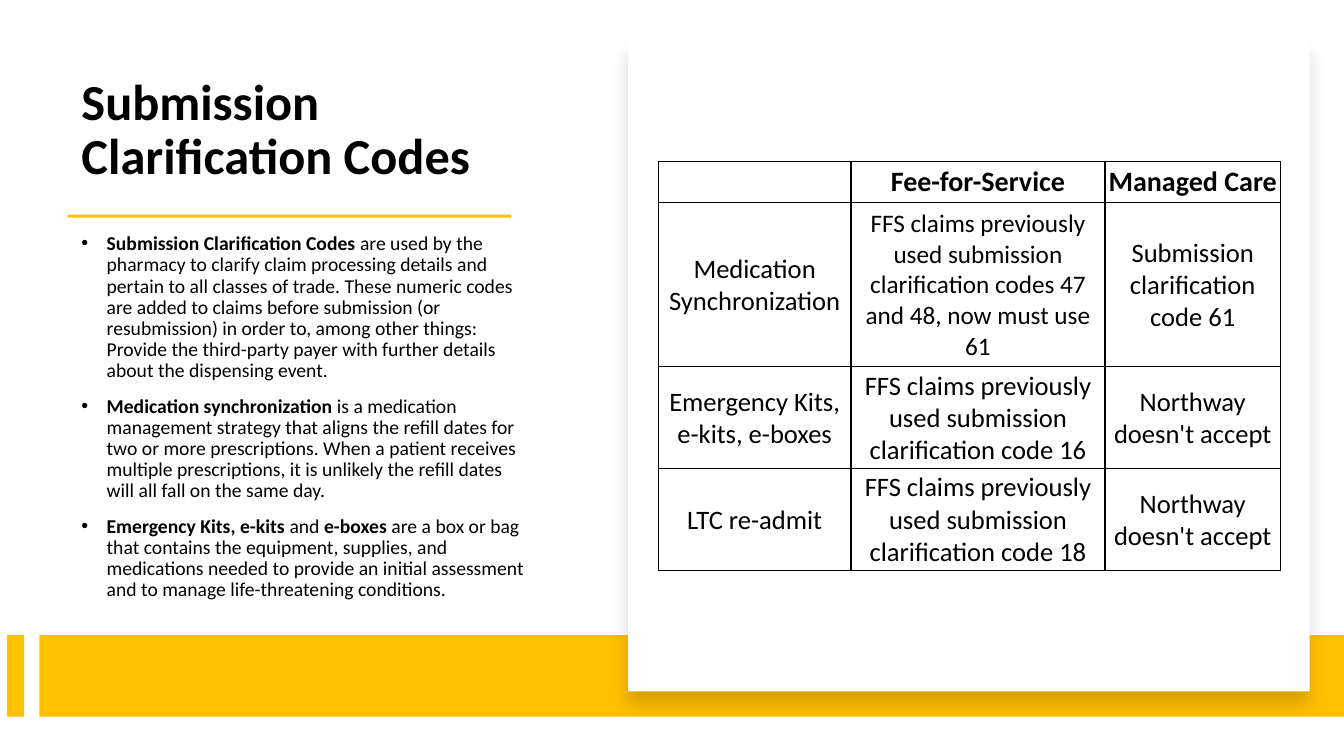
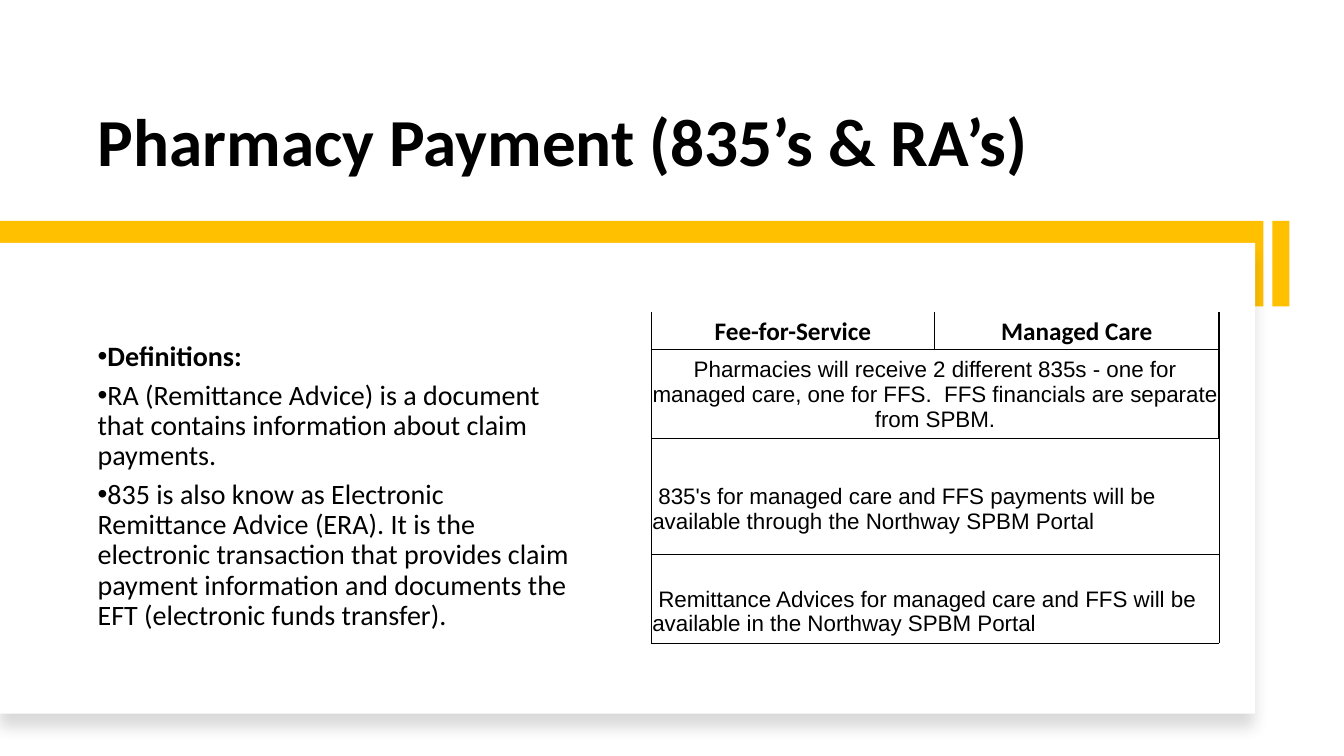
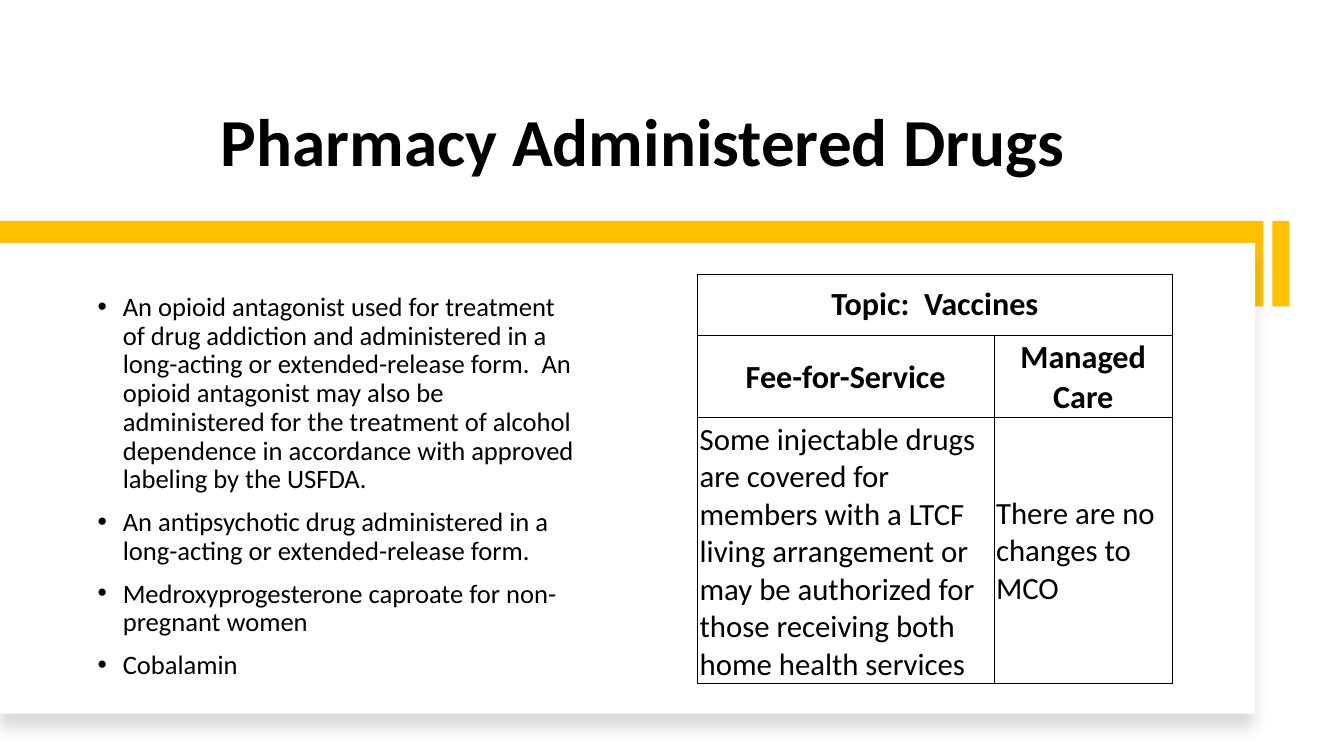
from dataclasses import dataclass

from lxml.etree import SubElement
from pptx import Presentation
from pptx.dml.color import RGBColor
from pptx.enum.shapes import MSO_SHAPE as Shape
from pptx.enum.text import MSO_ANCHOR as Anchor, PP_ALIGN as Align
from pptx.oxml.ns import qn
from pptx.util import Inches, Pt

GOLD = RGBColor(0xFF, 0xC0, 0x00)
WHITE = RGBColor(0xFF, 0xFF, 0xFF)
BLACK = RGBColor(0x00, 0x00, 0x00)
FONT = "Calibri"
WIDE, HIGH = 133.3, 75
BAR = 1.7


@dataclass
class Cell:
    """Text and look of one table cell, with insets in grid units."""
    text: str = ""
    size: float = 19
    bold: bool = False
    align: Align = Align.CENTER
    anchor: Anchor = Anchor.MIDDLE
    font: str = FONT
    pad: tuple = (0.1, 0.1, 0.1, 0)
    first: float = 0


@dataclass
class Row:
    """Height, cells and borders of one table row; one cell spans all columns."""
    high: float
    cells: list
    line: float = 1
    sides: str = "LRTB"


def grid(n):
    """Turn grid units, ten to the inch, into a length."""
    return Inches(n / 10)


def spot(box):
    """Turn a box of grid units into lengths."""
    return [grid(n) for n in box]


def rect(slide, box, color):
    """Draw a plain filled rectangle."""
    shape = slide.shapes.add_shape(Shape.RECTANGLE, *spot(box))
    shape.shadow.inherit = False
    shape.fill.solid()
    shape.fill.fore_color.rgb = color
    shape.line.fill.background()
    return shape


def card(slide, box):
    """Draw a white card with a soft shadow below it."""
    props = rect(slide, box, WHITE)._element.spPr
    glow = SubElement(props.find(qn("a:effectLst")), qn("a:outerShdw"),
                      blurRad=str(Pt(11)), dist=str(Pt(10)), dir="5400000",
                      algn="t", rotWithShape="0")
    tint = SubElement(glow, qn("a:srgbClr"), val=str(BLACK))
    SubElement(tint, qn("a:alpha"), val="15000")


def write(para, text, size, bold=False, font=FONT):
    """Fill a paragraph; parts between bars are bold."""
    para.font.name, para.font.size, para.font.bold = font, Pt(size), bold
    para.font.color.rgb = BLACK
    for i, part in enumerate(text.split("|")):
        if part:
            run = para.add_run()
            run.text = part
            if i % 2:
                run.font.bold = True


def frame(slide, box, anchor):
    """Add a wrapping text box and return its frame."""
    text = slide.shapes.add_textbox(*spot(box)).text_frame
    text.word_wrap = True
    text.vertical_anchor = anchor
    return text


def title(slide, box, text, size, align=Align.LEFT):
    """Write a bold title at the foot of its box."""
    para = frame(slide, box, Anchor.BOTTOM).paragraphs[0]
    para.alignment, para.line_spacing = align, 0.9
    write(para, text, size, True)


def points(slide, box, items, size, left=2.5, before=10, after=0):
    """Write a bulleted list centred vertically in its box."""
    text = frame(slide, box, Anchor.MIDDLE)
    for i, item in enumerate(items):
        para = text.add_paragraph() if i else text.paragraphs[0]
        props = para._p.get_or_add_pPr()
        props.set("marL", str(grid(left)))
        props.set("indent", str(grid(-2.5)))
        SubElement(props, qn("a:buFont"), typeface="Arial")
        SubElement(props, qn("a:buChar"), char="•")
        para.line_spacing = 0.9
        para.space_before, para.space_after = Pt(before), Pt(after)
        write(para, item, size)


def edge(cell, row):
    """Set the four borders of a cell."""
    props = cell._tc.get_or_add_tcPr()
    for side in "LRTB":
        line = SubElement(props, qn("a:ln" + side), w=str(Pt(row.line)))
        if side in row.sides:
            fill = SubElement(line, qn("a:solidFill"))
            SubElement(fill, qn("a:srgbClr"), val=str(BLACK))
        else:
            SubElement(line, qn("a:noFill"))
    cell.fill.background()


def fill(cell, data):
    """Write the text of a table cell."""
    (cell.margin_left, cell.margin_top,
     cell.margin_right, cell.margin_bottom) = spot(data.pad)
    cell.vertical_anchor = data.anchor
    para = cell.text_frame.paragraphs[0]
    para.alignment = data.align
    if data.first:
        para._p.get_or_add_pPr().set("indent", str(grid(data.first)))
    write(para, data.text, data.size, data.bold, data.font)


def table(slide, left, top, cols, rows):
    """Draw a ruled table from its top left corner."""
    box = left, top, sum(cols), sum(row.high for row in rows)
    tab = slide.shapes.add_table(len(rows), len(cols), *spot(box)).table
    tab.first_row = tab.horz_banding = False
    for col, wide in zip(tab.columns, cols):
        col.width = grid(wide)
    for r, row in enumerate(rows):
        tab.rows[r].height = grid(row.high)
        for c in range(len(cols)):
            edge(tab.cell(r, c), row)
        if len(row.cells) < len(cols):
            tab.cell(r, 0).merge(tab.cell(r, len(cols) - 1))
        for c, data in enumerate(row.cells):
            fill(tab.cell(r, c), data)


def split(slide, box, head, items):
    """Lay out a text column at left and a tall card at right over a band."""
    x, y, w, h = box
    base, deep = y + h * 0.84, 8.1
    title(slide, (x + 7.1, y + 5.8, 46.8, 13.1), head, 36)
    rect(slide, (x + 6.7, y + 21.3, 44, 0.3), GOLD)
    points(slide, (x + 7.1, y + 22.2, 46.8, 38.4), items, 14)
    rect(slide, (x + 0.7, base, BAR, deep), GOLD)
    rect(slide, (x + 3.9, base, w - 3.9, deep), GOLD)
    card(slide, (x + 62.3, y + 3.9, 67.6, 64.7))


def wide(slide, box, head, align=Align.LEFT):
    """Lay out a title over a band and a wide card; return the list box."""
    x, y, w, h = box
    base, deep = y + 21.9, 8.5
    title(slide, (x + 8.7, y + 4.2, 110.1, 14.2), head, 48, align)
    rect(slide, (x, base, w * 0.94, deep), GOLD)
    card(slide, (x, base + 2.2, 124.5, 46.7))
    rect(slide, (x + 126.2, base, BAR, deep), GOLD)
    return x + 8.7, y + 28.4, 49.6, 39.8


def codes(slide, box):
    """Build the slide on submission clarification codes."""
    split(slide, box, "Submission Clarification Codes", [
        "|Submission Clarification Codes| are used by the pharmacy to clarify "
        "claim processing details and pertain to all classes of trade. These "
        "numeric codes are added to claims before submission (or resubmission) "
        "in order to, among other things: Provide the third-party payer with "
        "further details about the dispensing event.",
        "|Medication synchronization| is a medication management strategy that "
        "aligns the refill dates for two or more prescriptions. When a patient "
        "receives multiple prescriptions, it is unlikely the refill dates will "
        "all fall on the same day.",
        "|Emergency Kits, e-kits| and| e-boxes| are a box or bag that contains "
        "the equipment, supplies, and medications needed to provide an initial "
        "assessment and to manage life-threatening conditions."])
    used = "FFS claims previously used submission clarification code"
    deny = Cell("Northway doesn't accept")
    table(slide, box[0] + 65.3, box[1] + 16, (19.1, 25.2, 17.4), [
        Row(4.1, [Cell(), Cell("Fee-for-Service", 20, True),
                  Cell("Managed Care", 20, True)]),
        Row(16.3, [Cell("Medication Synchronization"),
                   Cell(used + "s 47 and 48, now must use 61", 18),
                   Cell("Submission clarification code 61")]),
        Row(10.1, [Cell("Emergency Kits, e-kits, e-boxes"),
                   Cell(used + " 16"), deny]),
        Row(10.1, [Cell("LTC re-admit"), Cell(used + " 18"), deny])])


def payment(slide, box):
    """Build the slide on pharmacy payment."""
    area = wide(slide, box, "Pharmacy Payment (835’s & RA’s)")
    points(slide, area, [
        "|Definitions:|",
        "RA (Remittance Advice) is a document that contains information about "
        "claim payments.",
        "835 is also know as Electronic Remittance Advice (ERA). It is the "
        "electronic transaction that provides claim payment information and "
        "documents the EFT (electronic funds transfer)."], 20, 0, 0, 6)

    def note(text):
        return [Cell(text, 16, align=Align.LEFT, font="Arial",
                     pad=(0.1, 2.6, 0.1, 0), first=0.6)]

    table(slide, box[0] + 64.6, box[1] + 31, (28.1, 28.2), [
        Row(3.7, [Cell("Fee-for-Service", 18, True),
                  Cell("Managed Care", 18, True)], sides="LRB"),
        Row(8.8, [Cell("Pharmacies will receive 2 different 835s - one for "
                       "managed care, one for FFS.  FFS financials are "
                       "separate from SPBM.", 16, font="Arial")]),
        Row(11.5, note("835's for managed care and FFS payments will be "
                       "available through the Northway SPBM Portal"), 0.5),
        Row(8.8, note("Remittance Advices for managed care and FFS will be "
                      "available in the Northway SPBM Portal"), 0.5)])


def drugs(slide, box):
    """Build the slide on pharmacy administered drugs."""
    area = wide(slide, box, "Pharmacy Administered Drugs", Align.CENTER)
    points(slide, area, [
        "An opioid antagonist used for treatment of drug addiction and "
        "administered in a long-acting or extended-release form.  An opioid "
        "antagonist may also be administered for the treatment of alcohol "
        "dependence in accordance with approved labeling by the USFDA.",
        "An antipsychotic drug administered in a long-acting or "
        "extended-release form.",
        "Medroxyprogesterone caproate for non-pregnant women",
        "Cobalamin"], 19)
    pad = (0.2, 0.2, 0.2, 0)
    table(slide, box[0] + 69.2, box[1] + 27.2, (29.4, 17.7), [
        Row(6.1, [Cell("Topic:  Vaccines", 23, True, anchor=Anchor.TOP,
                       pad=(2, 1, 2, 1))]),
        Row(8.1, [Cell("Fee-for-Service", 23, True, pad=pad),
                  Cell("Managed Care", 23, True, pad=pad)]),
        Row(26.4, [Cell("Some injectable drugs are covered for members with a "
                        "LTCF living arrangement or may be authorized for "
                        "those receiving both home health services", 22,
                        align=Align.LEFT, anchor=Anchor.BOTTOM, pad=pad),
                   Cell("There are no changes to MCO", 22,
                        align=Align.LEFT, pad=pad)], 0.5)])


def main():
    """Build and save the deck."""
    deck = Presentation()
    deck.slide_width, deck.slide_height = grid(WIDE), grid(HIGH)
    for build in codes, payment, drugs:
        build(deck.slides.add_slide(deck.slide_layouts[6]), (0, 0, WIDE, HIGH))
    deck.save("out.pptx")


main()
